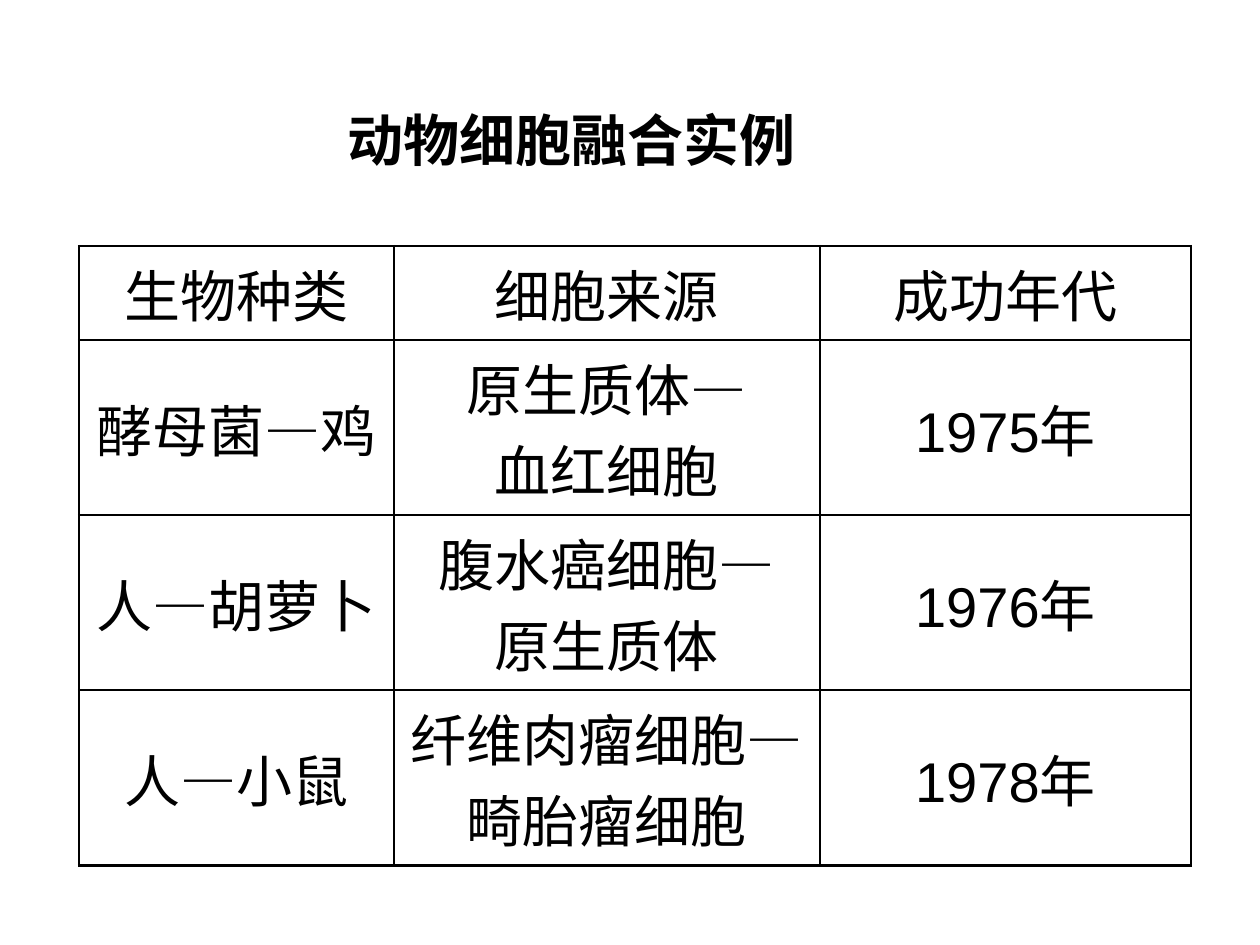
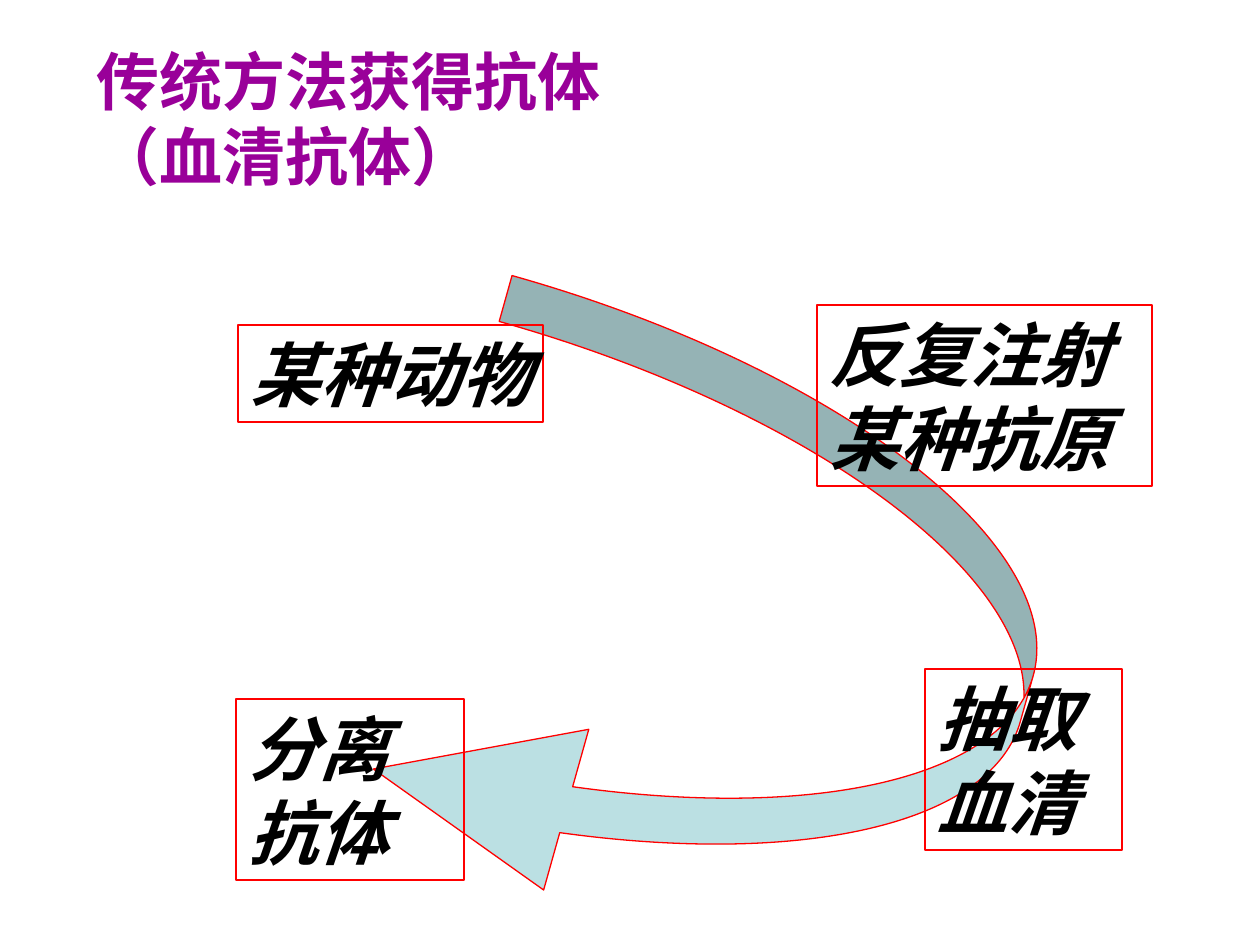
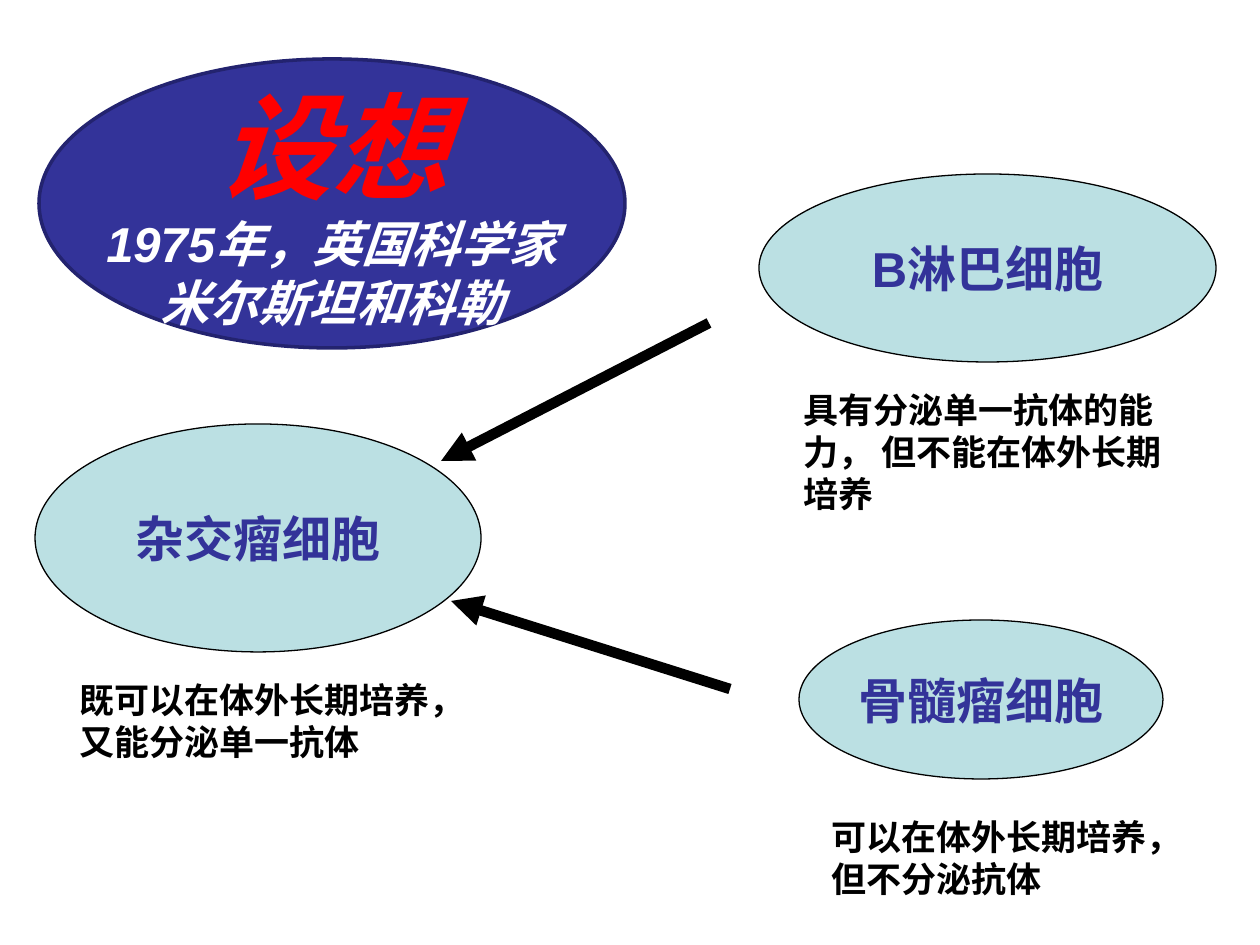
import pptx
import pptx.dml.color
import pptx.enum.shapes
import pptx.enum.text
import pptx.oxml.ns
import pptx.util

PX = 914400 / 126
FONT = "Arial"
TITLE_FONT = "Noto Sans CJK SC"
COLORS = {
    "black": "000000",
    "white": "FFFFFF",
    "red": "FF0000",
    "purple": "990099",
    "indigo": "333399",
    "indigo_edge": "23236F",
    "aqua": "BBE0E3",
}
ALIGN = pptx.enum.text.PP_ALIGN
ANCHOR = pptx.enum.text.MSO_ANCHOR
SHAPES = pptx.enum.shapes.MSO_SHAPE
TITLE_ONLY, BLANK = 5, 6


def px(length):
    return pptx.util.Emu(round(length * PX))


def box(left, top, width, height):
    return px(left), px(top), px(width), px(height)


def rgb(name):
    return pptx.dml.color.RGBColor.from_string(COLORS[name])


def add_xml(parent, tag, **attributes):
    child = parent.makeelement(pptx.oxml.ns.qn(tag), attributes)
    parent.append(child)
    return child


def add_text(frame, text, size=20, color="black", bold=False, italic=False,
             font=FONT, align=ALIGN.LEFT, first=True):
    """Write one paragraph, in the frame's first paragraph or in a new one."""
    paragraph = frame.paragraphs[0] if first else frame.add_paragraph()
    paragraph.alignment = align
    run = paragraph.add_run()
    run.text = text
    run.font.name = font
    run.font.size = pptx.util.Pt(size)
    run.font.bold = bold
    run.font.italic = italic
    run.font.color.rgb = rgb(color)


def set_frame(frame, anchor=ANCHOR.TOP, wrap=True):
    frame.auto_size = pptx.enum.text.MSO_AUTO_SIZE.NONE
    frame.word_wrap = wrap
    frame.vertical_anchor = anchor


def add_preset(slide, preset, area, fill=None, line="black", width=0.75):
    shape = slide.shapes.add_shape(preset, *box(*area))
    shape.shadow.inherit = False
    if fill:
        shape.fill.solid()
        shape.fill.fore_color.rgb = rgb(fill)
    else:
        shape.fill.background()
    shape.line.color.rgb = rgb(line)
    shape.line.width = pptx.util.Pt(width)
    return shape


def set_title(slide, text, area, anchor=ANCHOR.TOP, **text_format):
    title = slide.shapes.title
    title.left, title.top, title.width, title.height = box(*area)
    set_frame(title.text_frame, anchor)
    add_text(title.text_frame, text, bold=True, **text_format)


def add_step(slide, text, area, wrap=True):
    """Add a red-framed step of the process."""
    frame = add_preset(slide, SHAPES.RECTANGLE, area, line="red").text_frame
    set_frame(frame, wrap=wrap)
    add_text(frame, text, size=40, bold=True, italic=True)


def add_ellipse(slide, area, **look):
    frame = add_preset(slide, SHAPES.OVAL, area, **look).text_frame
    set_frame(frame, ANCHOR.MIDDLE, wrap=False)
    return frame


def add_cell_type(slide, name, area):
    frame = add_ellipse(slide, area, fill="aqua")
    add_text(frame, name, size=28, color="indigo", bold=True, align=ALIGN.CENTER)


def add_note(slide, text, area):
    frame = slide.shapes.add_textbox(*box(*area)).text_frame
    set_frame(frame)
    add_text(frame, text, bold=True)


def add_arrow(slide, start, end):
    connector = slide.shapes.add_connector(
        pptx.enum.shapes.MSO_CONNECTOR.STRAIGHT,
        *(px(value) for value in (*start, *end)))
    connector.line.color.rgb = rgb("black")
    connector.line.width = pptx.util.Pt(6)
    line = connector._element.spPr.find(pptx.oxml.ns.qn("a:ln"))
    add_xml(line, "a:tailEnd", type="triangle")
    add_xml(connector._element.spPr, "a:effectLst")


def add_process_arrow(slide):
    arrow = add_preset(slide, SHAPES.CURVED_DOWN_ARROW, (427, 340, 596, 610),
                       fill="aqua", line="red")
    arrow.rotation = 105.7
    for index, ratio in enumerate((0.08, 0.28, 0.33)):
        arrow.adjustments[index] = ratio


def set_cell_borders(cell):
    properties = cell._tc.get_or_add_tcPr()
    for index, side in enumerate(("a:lnL", "a:lnR", "a:lnT", "a:lnB")):
        border = add_xml(properties, side, w=str(pptx.util.Pt(1.47)))
        properties.insert(index, border)
        fill = add_xml(border, "a:solidFill")
        add_xml(fill, "a:srgbClr", val=COLORS["black"])


def add_table(slide, rows, left, top, widths, heights):
    table = slide.shapes.add_table(
        len(rows), len(widths), *box(left, top, sum(widths), sum(heights))).table
    table.first_row = table.horz_banding = False
    for column, width in zip(table.columns, widths):
        column.width = px(width)
    for row, height, texts in zip(table.rows, heights, rows):
        row.height = px(height)
        for cell, text in zip(row.cells, texts):
            cell.fill.background()
            cell.vertical_anchor = ANCHOR.MIDDLE
            set_cell_borders(cell)
            for index, line in enumerate(text.split("\n")):
                add_text(cell.text_frame, line, size=32, align=ALIGN.CENTER,
                         first=index == 0)


def add_slide(presentation, layout):
    return presentation.slides.add_slide(presentation.slide_layouts[layout])


def build_fusion_examples(presentation):
    slide = add_slide(presentation, TITLE_ONLY)
    set_title(slide, "动物细胞融合实例", (335, 99, 522, 81), ANCHOR.MIDDLE,
              size=32, font=TITLE_FONT)
    rows = [
        ("生物种类", "细胞来源", "成功年代"),
        ("酵母菌—鸡", "原生质体—\n血红细胞", "1975年"),
        ("人—胡萝卜", "腹水癌细胞—\n原生质体", "1976年"),
        ("人—小鼠", "纤维肉瘤细胞—畸胎瘤细胞", "1978年"),
    ]
    add_table(slide, rows, 79, 246, (315, 426, 371), (94, 175, 175, 175))


def build_serum_antibody(presentation):
    slide = add_slide(presentation, TITLE_ONLY)
    set_title(slide, "传统方法获得抗体（血清抗体）", (84, 36, 615, 164),
              size=36, color="purple")
    add_process_arrow(slide)
    add_step(slide, "某种动物", (238, 325, 305, 97), wrap=False)
    add_step(slide, "反复注射某种抗原", (817, 305, 335, 181))
    add_step(slide, "分离抗体", (236, 699, 228, 181))
    add_step(slide, "抽取血清", (925, 669, 197, 181))


def build_hybridoma_idea(presentation):
    slide = add_slide(presentation, BLANK)
    add_note(slide, "具有分泌单一抗体的能力， 但不能在体外长期培养", (791, 382, 405, 97))
    add_cell_type(slide, "B淋巴细胞", (759, 174, 457, 188))
    add_cell_type(slide, "骨髓瘤细胞", (799, 620, 364, 159))
    add_note(slide, "可以在体外长期培养，但不分泌抗体", (819, 809, 396, 97))
    add_arrow(slide, (709, 323), (441, 461))
    add_arrow(slide, (730, 689), (451, 601))
    add_cell_type(slide, "杂交瘤细胞", (35, 424, 446, 228))
    add_note(slide, "既可以在体外长期培养，又能分泌单一抗体", (67, 672, 415, 97))

    idea = add_ellipse(slide, (39, 59, 586, 289), fill="indigo",
                       line="indigo_edge", width=2)
    emphasis = {"bold": True, "italic": True, "align": ALIGN.CENTER}
    add_text(idea, "设想", size=66, color="red", **emphasis)
    for line in ("1975年，英国科学家", "米尔斯坦和科勒"):
        add_text(idea, line, size=28, color="white", first=False, **emphasis)


def main():
    presentation = pptx.Presentation()
    presentation.slide_width = px(1260)
    presentation.slide_height = px(945)
    build_fusion_examples(presentation)
    build_serum_antibody(presentation)
    build_hybridoma_idea(presentation)
    presentation.save("out.pptx")


if __name__ == "__main__":
    main()
